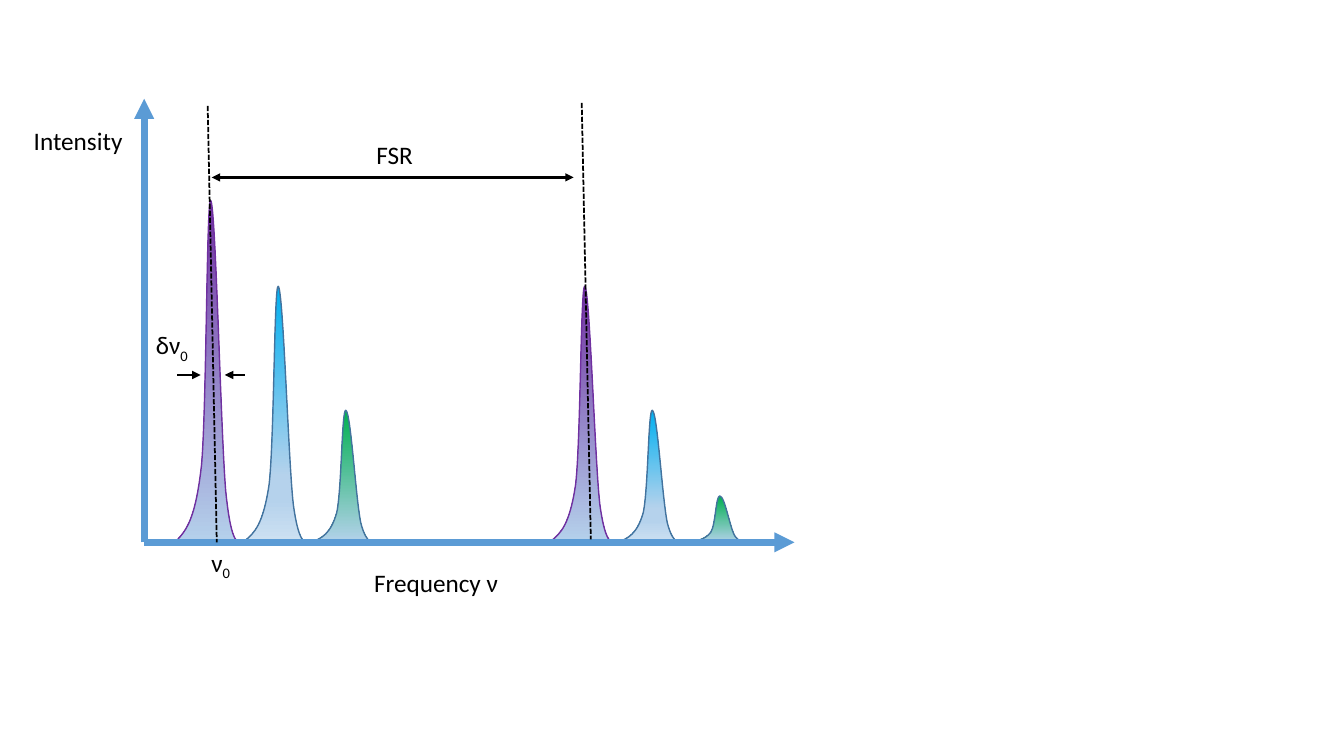
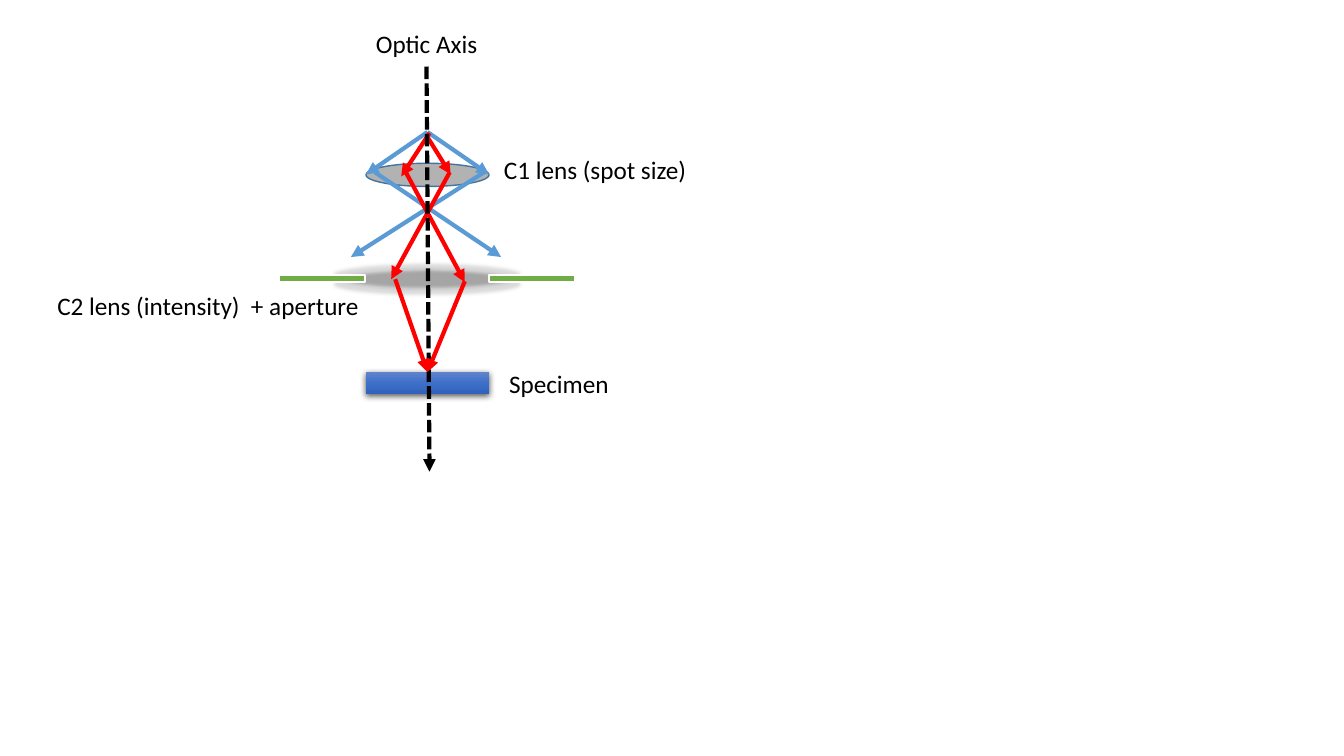
"""Build two optics diagrams: a cavity spectrum and a condenser lens system."""
from lxml import etree
from pptx import Presentation
from pptx.dml import color as dml_color
from pptx.enum import dml, shapes, text
from pptx.oxml import ns
from pptx.util import Inches, Pt

BLACK, WHITE, RED, BLUE = "000000", "FFFFFF", "FF0000", "5B9BD5"
OUTLINE, PURPLE, GREEN = "43739E", "7030A0", "70AD47"
FONT = {"name": "Calibri", "size": Pt(18)}
CENTER, LEFT = text.PP_ALIGN.CENTER, text.PP_ALIGN.LEFT
ELLIPSE, RECTANGLE = shapes.MSO_SHAPE.OVAL, shapes.MSO_SHAPE.RECTANGLE

PALE = [(74, "B5D2EC"), (83, "B5D2EC"), (100, "CEE1F2")]
FADED = [(100, "B5D2EC"), (100, "B5D2EC"), (100, "CEE1F2")]
MODES = {
    "purple": ([(0, PURPLE)] + FADED, PURPLE),
    "blue": ([(0, "00B0F0")] + PALE, OUTLINE),
    "green": ([(0, "00B050")] + FADED, OUTLINE),
}
PEAK_WIDTH, BASELINE = 0.67, 5.39
PEAK_GROUPS = [
    (1.76, {"purple": 3.4, "blue": 2.55, "green": 1.32}),
    (5.47, {"purple": 2.55, "blue": 1.32, "green": 0.47}),
]
# Bezier points: inches across, then share of the peak height from the top
PEAK_CURVE = [
    (0, 0.99), (0.09, 0.96), (0.18, 0.93), (0.24, 0.77),
    (0.29, 0.6), (0.29, -0.01), (0.33, 0), (0.38, 0.01),
    (0.43, 0.68), (0.48, 0.85), (0.54, 1.02), (0.61, 1), (0.67, 0.99),
]

SPECTRUM_LINES = [
    ((1.43, 5.38), (1.43, 0.98), BLUE, 4.75, "tail", False),
    ((1.43, 5.38), (7.88, 5.38), BLUE, 4.75, "tail", False),
    ((2.1, 1.76), (5.69, 1.76), BLACK, 1.75, "head tail", False),
    ((1.76, 3.72), (1.99, 3.72), BLACK, 2, "tail", False),
    ((2.43, 3.72), (2.23, 3.72), BLACK, 2, "tail", False),
    ((2.06, 1.05), (2.15, 5.38), BLACK, 1.25, "", True),
    ((5.77, 1.02), (5.86, 5.35), BLACK, 1.25, "", True),
]
SPECTRUM_LABELS = [
    ("Frequency ν", "", (2.51, 5.58, 3.63, 0.71), CENTER, True),
    ("Intensity", "", (-1.04, 1.19, 3.63, 0.4), CENTER, True),
    ("FSR", "", (2.1, 1.33, 3.63, 0.4), CENTER, True),
    ("δν", "0", (1.35, 3.22, 0.71, 0.4), CENTER, True),
    ("ν", "0", (1.99, 5.38, 0.4, 0.4), CENTER, False),
]

SPECIMEN_FILL = [(0, "6183CB"), (50, "3E70CA"), (100, "3062BB")]
HALO = [
    ("glow", {"rad": Pt(5)}, ("A5A5A5", 40)),
    ("softEdge", {"rad": Pt(2.5)}, None),
]
SHADOW = [
    ("outerShdw", {"blurRad": Pt(4.5), "dist": Pt(1.5), "dir": 5400000,
                   "algn": "ctr", "rotWithShape": 0}, (BLACK, 63)),
]
OPTICS = {
    "C1 lens": (ELLIPSE, (3.63, 1.62, 1.22, 0.23), "B2B2B2", OUTLINE, 1, []),
    "C2 lens": (ELLIPSE, (3.32, 2.66, 1.83, 0.22), "A6A6A6", OUTLINE, 1, HALO),
    "Aperture left": (RECTANGLE, (2.77, 2.73, 0.85, 0.07), GREEN, WHITE, 1.5, []),
    "Aperture right": (RECTANGLE, (4.85, 2.73, 0.85, 0.07), GREEN, WHITE, 1.5, []),
    "Specimen": (RECTANGLE, (3.63, 3.69, 1.22, 0.22), SPECIMEN_FILL, None, 0, SHADOW),
}
RAYS = [
    ((4.24, 1.31), (3.63, 1.73), BLUE),
    ((4.24, 1.31), (4.85, 1.73), BLUE),
    ((4.26, 1.32), (3.98, 1.75), RED),
    ((4.24, 1.36), (4.47, 1.73), RED),
    ((3.72, 1.71), (4.97, 2.55), BLUE),
    ((4.8, 1.71), (3.48, 2.55), BLUE),
    ((4.01, 1.68), (4.61, 2.8), RED),
    ((4.46, 1.71), (3.88, 2.77), RED),
]
OPTIC_AXIS = ((4.23, 0.66), (4.26, 4.68), BLACK, 3, "tail", True)
FOCUS = (4.24, 3.69)
FOCUS_STARTS = [(3.92, 2.77), (4.61, 2.79)]
OPTICS_LABELS = [
    ("Optic Axis", "", (3.63, 0.23, 1.43, 0.4), LEFT, True),
    ("C1 lens (spot size)", "", (4.9, 1.48, 2.27, 0.4), LEFT, True),
    ("C2 lens (intensity)  + aperture", "", (0.47, 2.83, 3.41, 0.4), LEFT, True),
    ("Specimen", "", (4.95, 3.6, 3.41, 0.4), LEFT, True),
]


def rgb(value):
    return dml_color.RGBColor.from_string(value)


def add_child(parent, tag, **attributes):
    child = etree.SubElement(parent, ns.qn(f"a:{tag}"))
    for name, value in attributes.items():
        child.set(name, str(value))
    return child


def paint(shape, fill, outline, width):
    shape.shadow.inherit = False
    if isinstance(fill, str):
        shape.fill.solid()
        shape.fill.fore_color.rgb = rgb(fill)
    else:
        shape.fill.gradient()
        gradient = shape.element.spPr.find(ns.qn("a:gradFill"))
        gradient.clear()
        stops = add_child(gradient, "gsLst")
        for position, value in fill:
            stop = add_child(stops, "gs", pos=position * 1000)
            add_child(stop, "srgbClr", val=value)
        add_child(gradient, "lin", ang=5400000, scaled=0)
    if outline:
        shape.line.color.rgb = rgb(outline)
        shape.line.width = Pt(width)
    else:
        shape.line.fill.background()


def add_line(slide, start, end, color, width, arrows, dashed):
    points = [Inches(value) for value in start + end]
    connector = slide.shapes.add_connector(shapes.MSO_CONNECTOR.STRAIGHT, *points)
    connector.line.color.rgb = rgb(color)
    connector.line.width = Pt(width)
    if dashed:
        connector.line.dash_style = dml.MSO_LINE.SQUARE_DOT
    properties = connector.element.spPr
    for arrow in arrows.split():
        add_child(properties.find(ns.qn("a:ln")), f"{arrow}End", type="triangle")
    add_child(properties, "effectLst")
    return connector


def add_label(slide, words, subscript, box, alignment, wrap):
    frame = slide.shapes.add_textbox(*map(Inches, box)).text_frame
    frame.word_wrap = wrap
    frame.auto_size = text.MSO_AUTO_SIZE.SHAPE_TO_FIT_TEXT
    paragraph = frame.paragraphs[0]
    paragraph.alignment = alignment
    for part, baseline in ((words, 0), (subscript, -25000)):
        if not part:
            continue
        run = paragraph.add_run()
        run.text = part
        for name, value in FONT.items():
            setattr(run.font, name, value)
        run.font.color.rgb = rgb(BLACK)
        if baseline:
            run.font._element.set("baseline", str(baseline))


def add_peak(slide, left, height, fill, outline):
    points = [(Inches(x), Inches(y * height)) for x, y in PEAK_CURVE]
    origin = Inches(left), Inches(BASELINE - height)
    builder = slide.shapes.build_freeform(*points[0])
    builder.add_line_segments(points[3::3], close=False)
    shape = builder.convert_to_shape(*origin)
    shape.left, shape.top = origin
    shape.height = Inches(height)
    outline_node = next(shape.element.iter(ns.qn("a:path")))
    outline_node.set("h", str(shape.height))
    for segment in outline_node.findall(ns.qn("a:lnTo")):
        outline_node.remove(segment)
    for first in range(1, len(points), 3):
        curve = add_child(outline_node, "cubicBezTo")
        for x, y in points[first:first + 3]:
            add_child(curve, "pt", x=x, y=y)
    paint(shape, fill, outline, 1)


def add_optic(slide, kind, box, fill, outline, width, effects):
    shape = slide.shapes.add_shape(kind, *map(Inches, box))
    paint(shape, fill, outline, width)
    effect_list = shape.element.spPr.find(ns.qn("a:effectLst"))
    for tag, attributes, tint in effects:
        node = add_child(effect_list, tag, **attributes)
        if tint:
            value, percent = tint
            color = add_child(node, "srgbClr", val=value)
            add_child(color, "alpha", val=percent * 1000)
    return shape


def build_spectrum(slide):
    for left, heights in PEAK_GROUPS:
        for index, (mode, height) in enumerate(heights.items()):
            add_peak(slide, left + index * PEAK_WIDTH, height, *MODES[mode])
    for line in SPECTRUM_LINES:
        add_line(slide, *line)
    for label in SPECTRUM_LABELS:
        add_label(slide, *label)


def build_optics(slide):
    parts = {name: add_optic(slide, *part) for name, part in OPTICS.items()}
    for ray in RAYS:
        add_line(slide, *ray, 3, "tail", False)
    add_line(slide, *OPTIC_AXIS)
    for start in FOCUS_STARTS:
        ray = add_line(slide, start, FOCUS, RED, 3, "tail", False)
        ray.end_connect(parts["Specimen"], 0)
    for label in OPTICS_LABELS:
        add_label(slide, *label)


def main():
    presentation = Presentation()
    presentation.slide_width = Inches(13.33)
    presentation.slide_height = Inches(7.5)
    for build in (build_spectrum, build_optics):
        build(presentation.slides.add_slide(presentation.slide_layouts[6]))
    presentation.save("out.pptx")


if __name__ == "__main__":
    main()
